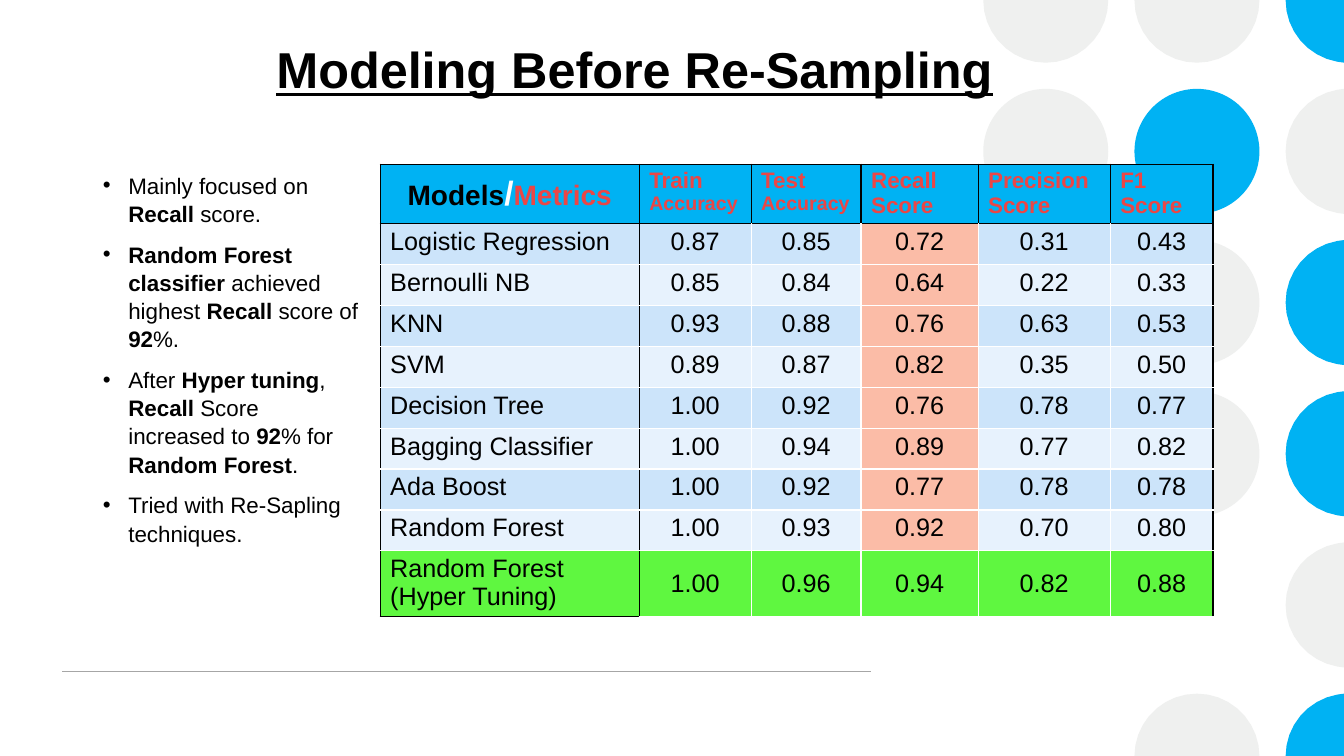
"""Build the slide comparing model scores before re-sampling."""
import math

import lxml.etree
import pptx
import pptx.dml.color
import pptx.enum.shapes
import pptx.enum.text
import pptx.oxml.ns
import pptx.util

Cm = pptx.util.Cm
Pt = pptx.util.Pt
ANCHOR = pptx.enum.text.MSO_ANCHOR
ALIGN = pptx.enum.text.PP_ALIGN

TITLE = "Modeling Before Re-Sampling"
BULLETS = [
    "Mainly focused on *Recall* score.",
    "*Random Forest classifier* achieved highest *Recall* score of *92*%.",
    "After *Hyper tuning*, *Recall* Score increased to *92*% for *Random Forest*.",
    "Tried with Re-Sapling techniques.",
]
CORNER = [("Models", 20, "000000"), ("/", 24, "FFFFFF"), ("Metrics", 20, "EB4646")]
METRICS = [
    (("Train", 16), ("Accuracy", 14)),
    (("Test", 16), ("Accuracy", 14)),
    (("Recall", 16), ("Score", 16)),
    (("Precision", 16), ("Score", 16)),
    (("F1", 16), ("Score", 16)),
]
SCORES = [
    ("Logistic Regression", "0.87", "0.85", "0.72", "0.31", "0.43"),
    ("Bernoulli NB", "0.85", "0.84", "0.64", "0.22", "0.33"),
    ("KNN", "0.93", "0.88", "0.76", "0.63", "0.53"),
    ("SVM", "0.89", "0.87", "0.82", "0.35", "0.50"),
    ("Decision Tree", "1.00", "0.92", "0.76", "0.78", "0.77"),
    ("Bagging Classifier", "1.00", "0.94", "0.89", "0.77", "0.82"),
    ("Ada Boost", "1.00", "0.92", "0.77", "0.78", "0.78"),
    ("Random Forest", "1.00", "0.93", "0.92", "0.70", "0.80"),
    ("Random Forest\n(Hyper Tuning)", "1.00", "0.96", "0.94", "0.82", "0.88"),
]
COLUMN_WIDTHS = [6.53, 2.82, 2.77, 2.95, 3.33, 2.59]
ROW_HEIGHTS = [1.5] + [1.03] * 8 + [1.66]
RECALL_COLUMN = 3

CIRCLE_ROWS = ["GGB", "GBG", "-GB", "-GB", "--G", "-GB"]
CIRCLE_COLORS = {"G": "EFF0EF", "B": "00B2F3"}
CIRCLE_LEFT, CIRCLE_TOP, CIRCLE_PITCH, CIRCLE_SIZE = 24.78, -1.57, 3.81, 3.15
SLIDE_WIDTH, SLIDE_HEIGHT = 33.87, 19.05


def rgb(color):
    return pptx.dml.color.RGBColor.from_string(color)


def write(paragraph, text, size=18, color="000000", bold=False, underline=False, align=None):
    if align is not None:
        paragraph.alignment = align
    run = paragraph.add_run()
    run.text = text
    font = run.font
    font.name, font.size, font.bold, font.underline = "Arial", Pt(size), bold, underline
    font.color.rgb = rgb(color)


def paragraphs(frame, count):
    while len(frame.paragraphs) < count:
        frame.add_paragraph()
    return frame.paragraphs


def place(shape, left, top, width, height):
    shape.left, shape.top, shape.width, shape.height = Cm(left), Cm(top), Cm(width), Cm(height)
    frame = shape.text_frame
    frame.word_wrap = True
    frame.auto_size = pptx.enum.text.MSO_AUTO_SIZE.NONE
    frame.vertical_anchor = ANCHOR.TOP
    return frame


def child(parent, tag, **attributes):
    return lxml.etree.SubElement(parent, pptx.oxml.ns.qn(tag), **attributes)


def cut_circle_points(left, top):
    radius = CIRCLE_SIZE / 2
    first, last, edge = 0, 360, None
    if top < 0:
        last, edge = 180, 0
    elif top + CIRCLE_SIZE > SLIDE_HEIGHT:
        first, edge = 180, SLIDE_HEIGHT
    at_right = left + CIRCLE_SIZE > SLIDE_WIDTH
    if at_right:
        first, last = max(first, 90), min(last, 270)
    points = []
    for degrees in range(first, last + 1, 10):
        x = left + radius + radius * math.cos(math.radians(degrees))
        y = top + radius + radius * math.sin(math.radians(degrees))
        points.append((Cm(min(x, SLIDE_WIDTH)), Cm(min(max(y, 0), SLIDE_HEIGHT))))
    if at_right and edge is not None:
        points.append((Cm(SLIDE_WIDTH), Cm(edge)))
    return points


def add_circle(slide, left, top, color):
    if 0 <= top <= SLIDE_HEIGHT - CIRCLE_SIZE and left <= SLIDE_WIDTH - CIRCLE_SIZE:
        shape = slide.shapes.add_shape(pptx.enum.shapes.MSO_SHAPE.OVAL, Cm(left), Cm(top),
                                       Cm(CIRCLE_SIZE), Cm(CIRCLE_SIZE))
    else:
        points = cut_circle_points(left, top)
        builder = slide.shapes.build_freeform(*points[0])
        builder.add_line_segments(points[1:], close=True)
        shape = builder.convert_to_shape()
    shape.shadow.inherit = False
    shape.fill.solid()
    shape.fill.fore_color.rgb = rgb(color)
    shape.line.fill.background()


def add_circles(slide):
    for row, codes in enumerate(CIRCLE_ROWS):
        for column, code in enumerate(codes):
            if code in CIRCLE_COLORS:
                add_circle(slide, CIRCLE_LEFT + column * CIRCLE_PITCH,
                           CIRCLE_TOP + row * CIRCLE_PITCH, CIRCLE_COLORS[code])


def add_footer_line(slide):
    line = slide.shapes.add_connector(pptx.enum.shapes.MSO_CONNECTOR.STRAIGHT,
                                      Cm(1.57), Cm(16.92), Cm(21.95), Cm(16.92))
    line.line.color.rgb = rgb("A6A6A6")
    line.line.width = Pt(1)
    child(line.element.spPr, "a:effectLst")


def fill_title(title):
    frame = place(title, 6.71, 0.84, 20.45, 2.74)
    write(frame.paragraphs[0], TITLE, size=36, bold=True, underline=True, align=ALIGN.LEFT)


def fill_body(body):
    frame = place(body, 2.34, 4.17, 6.96, 11.33)
    for paragraph, text in zip(paragraphs(frame, len(BULLETS)), BULLETS):
        paragraph.space_before = Pt(9)
        paragraph.line_spacing = 1.05
        properties = paragraph._p.get_or_add_pPr()
        properties.set("marL", str(Cm(0.64)))
        properties.set("indent", str(-Cm(0.64)))
        child(properties, "a:buChar", char="•")
        for index, part in enumerate(text.split("*")):
            if part:
                write(paragraph, part, size=16, bold=index % 2 == 1)


def style_cell(cell, row, column, color):
    last_row, last_column = len(SCORES), len(COLUMN_WIDTHS) - 1
    black_sides = {
        "a:lnL": row == 0 or column <= 1,
        "a:lnR": row == 0 or column in (0, last_column),
        "a:lnT": row <= 1,
        "a:lnB": row == 0 or (row == last_row and column == 0),
    }
    properties = cell._tc.get_or_add_tcPr()
    for tag, black in black_sides.items():
        if black:
            border = child(properties, tag, w=str(Pt(1)))
            child(child(border, "a:solidFill"), "a:srgbClr", val="000000")
    cell.fill.solid()
    cell.fill.fore_color.rgb = rgb(color)
    cell.margin_top = cell.margin_bottom = Cm(0.1)


def add_scores(slide):
    table = slide.shapes.add_table(len(ROW_HEIGHTS), len(COLUMN_WIDTHS), Cm(9.58), Cm(4.14),
                                   Cm(sum(COLUMN_WIDTHS)), Cm(sum(ROW_HEIGHTS))).table
    table.first_row = table.horz_banding = False
    for column, width in zip(table.columns, COLUMN_WIDTHS):
        column.width = Cm(width)
    for row, height in zip(table.rows, ROW_HEIGHTS):
        row.height = Cm(height)

    corner = table.cell(0, 0)
    style_cell(corner, 0, 0, "00B2F3")
    corner.vertical_anchor = ANCHOR.MIDDLE
    for text, size, color in CORNER:
        write(corner.text_frame.paragraphs[0], text, size=size, color=color,
              bold=True, align=ALIGN.CENTER)
    for column, lines in enumerate(METRICS, start=1):
        cell = table.cell(0, column)
        style_cell(cell, 0, column, "00B2F3")
        for paragraph, (text, size) in zip(paragraphs(cell.text_frame, len(lines)), lines):
            write(paragraph, text, size=size, color="EB4646", bold=True)

    for row, values in enumerate(SCORES, start=1):
        best = row == len(SCORES)
        for column, value in enumerate(values):
            color = "CCE4FA" if row % 2 else "E7F2FD"
            if best:
                color = "5FF740"
            elif column == RECALL_COLUMN:
                color = "FBBCA7"
            cell = table.cell(row, column)
            style_cell(cell, row, column, color)
            if best and column:
                cell.vertical_anchor = ANCHOR.MIDDLE
            lines = value.split("\n")
            for paragraph, text in zip(paragraphs(cell.text_frame, len(lines)), lines):
                write(paragraph, text, align=ALIGN.CENTER if column else ALIGN.LEFT)


def main():
    presentation = pptx.Presentation()
    presentation.slide_width, presentation.slide_height = Cm(SLIDE_WIDTH), Cm(SLIDE_HEIGHT)
    slide = presentation.slides.add_slide(presentation.slide_layouts[1])
    title, body = slide.shapes.title, slide.placeholders[1]
    add_circles(slide)
    add_footer_line(slide)
    for placeholder in (title, body):
        placeholder.element.getparent().append(placeholder.element)
    fill_title(title)
    fill_body(body)
    add_scores(slide)
    presentation.save("out.pptx")


if __name__ == "__main__":
    main()
